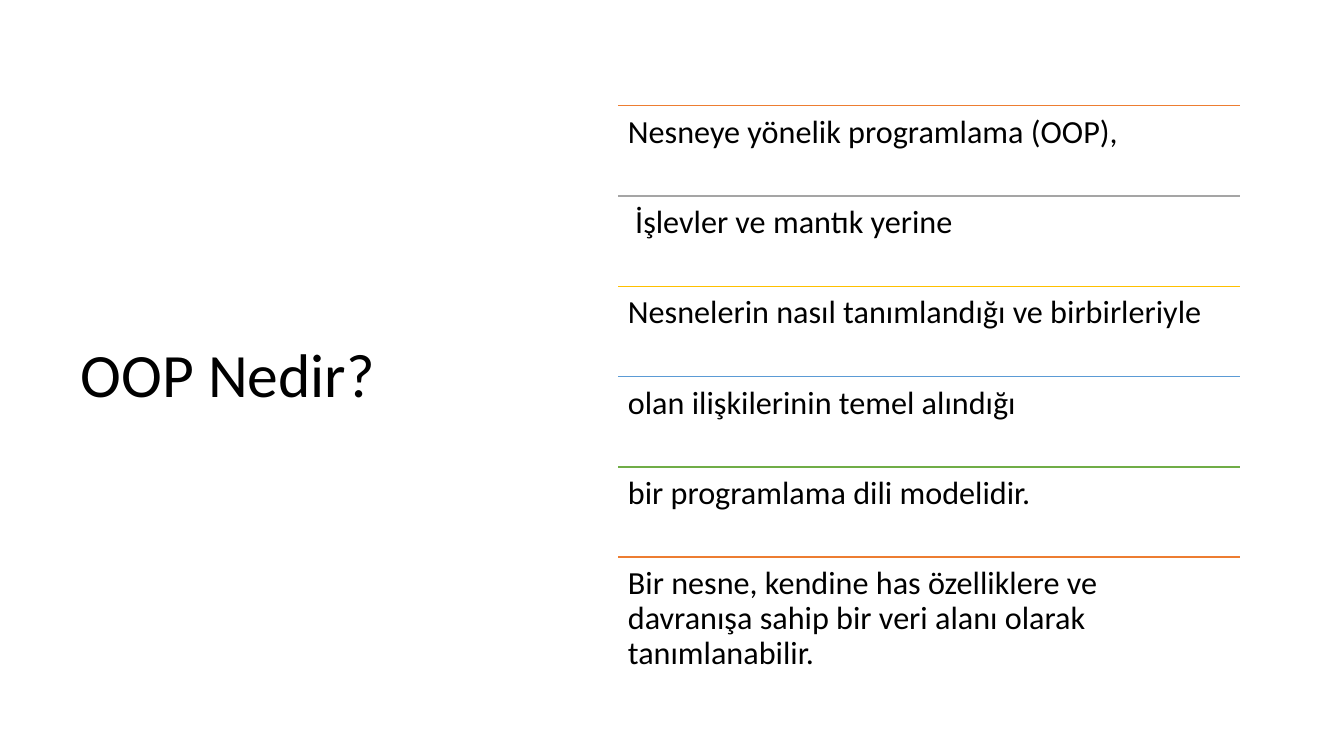
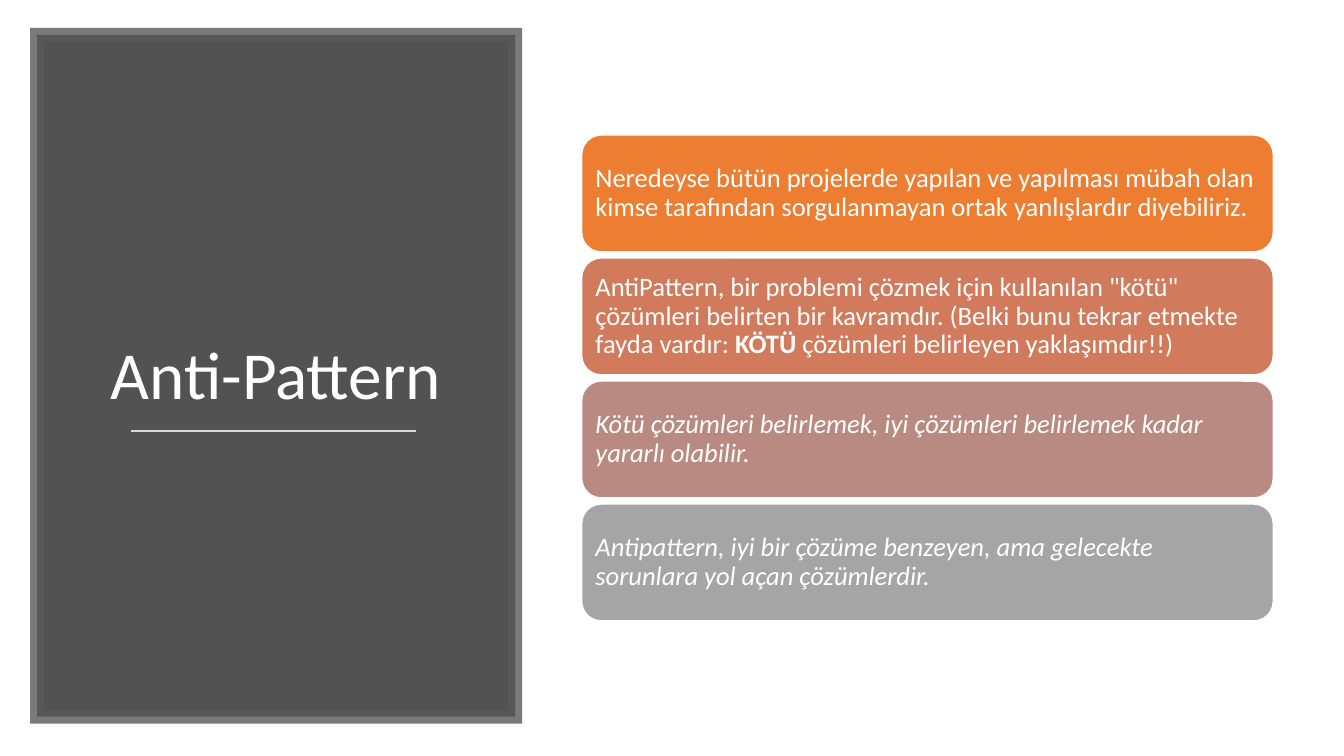
from lxml.etree import SubElement as Sub
from pptx import Presentation
from pptx.dml.color import RGBColor
from pptx.enum.shapes import MSO_CONNECTOR as Conn, MSO_SHAPE as Kind
from pptx.enum.text import MSO_ANCHOR as Anchor, MSO_AUTO_SIZE as Auto, PP_ALIGN as Align
from pptx.oxml.ns import qn
from pptx.util import Pt

FONT = "Calibri"
BLACK, WHITE = "000000", "FFFFFF"
ORANGE, GREY = "ED7D31", "A5A5A5"

RULES = [
    (ORANGE, "Nesneye yönelik programlama (OOP),"),
    (GREY, " İşlevler ve mantık yerine"),
    ("FFC000", "Nesnelerin nasıl tanımlandığı ve birbirleriyle"),
    ("5B9BD5", "olan ilişkilerinin temel alındığı"),
    ("70AD47", "bir programlama dili modelidir."),
    (ORANGE, "Bir nesne, kendine has özelliklere ve davranışa sahip "
             "bir veri alanı olarak tanımlanabilir."),
]
CARDS = [
    (ORANGE, False, ["Neredeyse bütün projelerde yapılan ve yapılması mübah olan "
                     "kimse tarafından sorgulanmayan ortak yanlışlardır diyebiliriz."]),
    ("D17B5C", False, ['AntiPattern, bir problemi çözmek için kullanılan "kötü" çözümleri '
                       "belirten bir kavramdır. (Belki bunu tekrar etmekte fayda vardır: ",
                       "KÖTÜ", " çözümleri belirleyen yaklaşımdır!!)"]),
    ("B98A82", True, ["Kötü çözümleri belirlemek, iyi çözümleri belirlemek kadar "
                      "yararlı olabilir."]),
    (GREY, True, ["Antipattern, iyi bir çözüme benzeyen, ama gelecekte "
                  "sorunlara yol açan çözümlerdir."]),
]


def paint(fmt, color, alpha=None):
    fmt.solid()
    fmt.fore_color.rgb = RGBColor.from_string(color)
    if alpha:
        tint = next(fmt._xPr.iter(qn("a:srgbClr")))
        Sub(tint, qn("a:alpha")).set("val", str(alpha * 1000))


def write(shape, parts, size, color, anchor, pad, align=Align.LEFT, italic=None):
    frame = shape.text_frame
    frame.word_wrap = True
    frame.auto_size = Auto.NONE
    frame.vertical_anchor = anchor
    side, edge = pad
    frame.margin_left = frame.margin_right = Pt(side)
    frame.margin_top = frame.margin_bottom = Pt(edge)
    para = frame.paragraphs[0]
    para.alignment = align
    para.line_spacing = 0.9
    font = para.font
    font.name, font.size, font.italic = FONT, Pt(size), italic
    font.color.rgb = RGBColor.from_string(color)
    for num, part in enumerate(parts):
        run = para.add_run()
        run.text = part
        if num % 2:
            run.font.bold = True


def rule(slide, left, top, width, color, weight):
    line = slide.shapes.add_connector(
        Conn.STRAIGHT, Pt(left), Pt(top), Pt(left + width), Pt(top))
    paint(line.line.fill, color)
    line.line.width = Pt(weight)
    Sub(line.element.spPr, qn("a:effectLst"))


def block(slide, kind, box, fill, edge, weight, alphas=(None, None)):
    shape = slide.shapes.add_shape(kind, *map(Pt, box))
    shape.shadow.inherit = False
    paint(shape.fill, fill, alphas[0])
    paint(shape.line.fill, edge, alphas[1])
    shape.line.width = Pt(weight)
    return shape


def head(slide, text, box, size, color, anchor, align=Align.LEFT):
    title = slide.shapes.title
    title.left, title.top, title.width, title.height = map(Pt, box)
    write(title, [text], size, color, anchor, (7.2, 3.6), align)


def ruled(slide, box, rows):
    left, top, width, height = box
    step = height / len(rows)
    for num, (color, text) in enumerate(rows):
        y = top + num * step
        rule(slide, left, y, width, color, 1)
        label = slide.shapes.add_textbox(Pt(left), Pt(y), Pt(width), Pt(step))
        write(label, [text], 23, BLACK, Anchor.TOP, (7, 7))


def panel(slide, box, text):
    left, top, width, height = box
    back = block(slide, Kind.RECTANGLE, box, "404040", "595959", 10, (90, 80))
    Sub(back.line._get_or_add_ln(), qn("a:miter")).set("lim", "800000")
    slide.shapes.title.element.addprevious(back.element)
    head(slide, text, (left + 26.5, top + 47, 288, 227.5), 48, WHITE,
         Anchor.BOTTOM, Align.CENTER)
    rule(slide, left + 67, top + 283, 204, "D9D9D9", 1.75)


def cards(slide, box, gap, rows):
    left, top, width, height = box
    tall = (height - gap * (len(rows) - 1)) / len(rows)
    for num, (color, italic, parts) in enumerate(rows):
        area = (left, top + num * (tall + gap), width, tall)
        card = block(slide, Kind.ROUNDED_RECTANGLE, area, color, WHITE, 1)
        write(card, parts, 19, WHITE, Anchor.MIDDLE, (5.75, 5.75), italic=italic)


def main():
    deck = Presentation()
    deck.slide_width, deck.slide_height = Pt(960), Pt(540)
    only = deck.slide_layouts.get_by_name("Title Only")

    intro = deck.slides.add_slide(only)
    head(intro, "OOP Nedir?", (50.5, 50.5, 269, 438.5), 44, BLACK, Anchor.MIDDLE)
    ruled(intro, (441.5, 75.5, 444, 387), RULES)

    anti = deck.slides.add_slide(only)
    panel(anti, (26.5, 25, 341.5, 487), "Anti-Pattern")
    cards(anti, (415.5, 96.5, 494, 347), 4.4, CARDS)

    deck.save("out.pptx")


if __name__ == "__main__":
    main()
